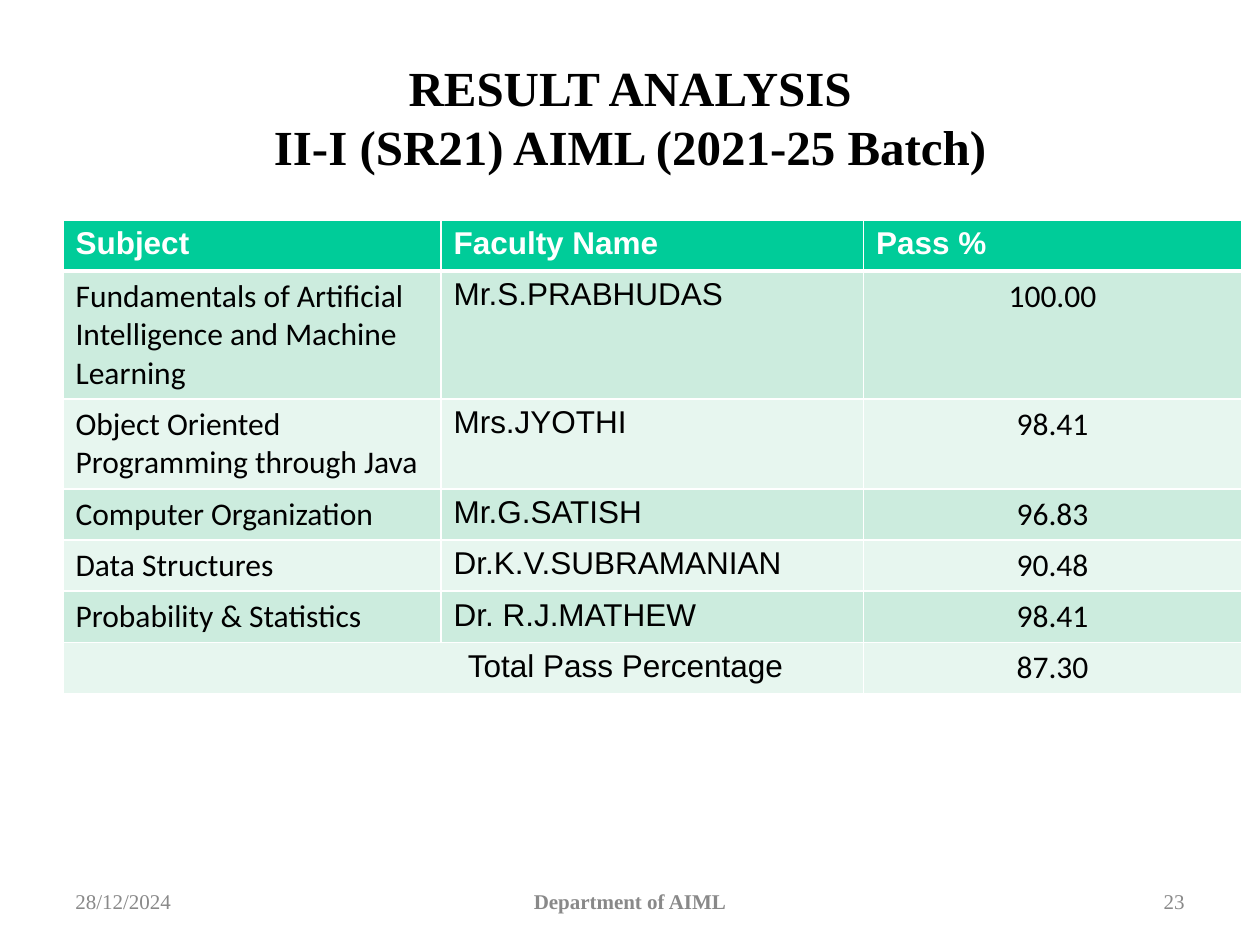
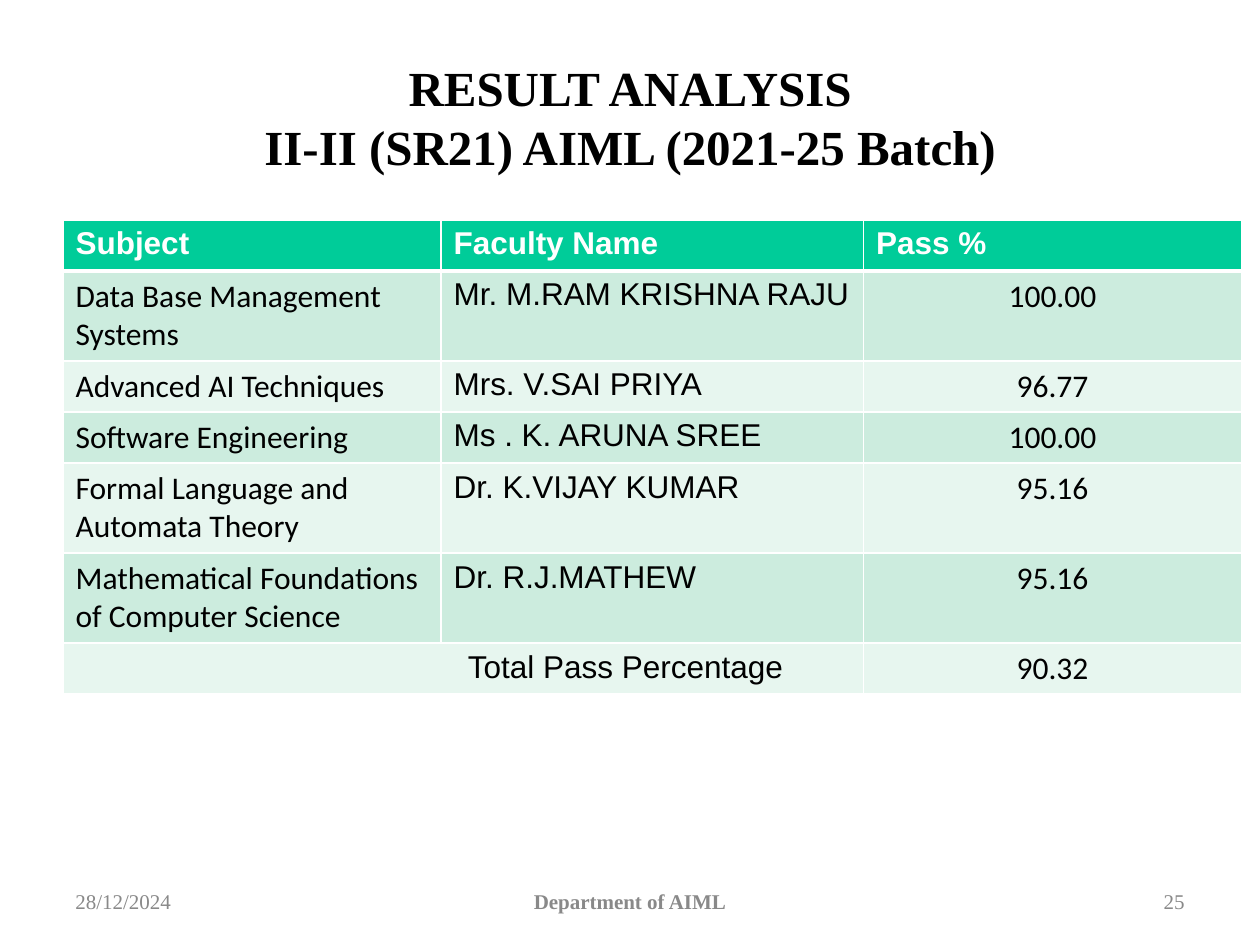
from lxml import etree
from pptx import Presentation, util as u
from pptx.dml.color import RGBColor
from pptx.enum import text
from pptx.oxml.ns import qn

# Shared look
PX = u.Inches(1) / 126
WHITE, BLACK, GREY = "FFFFFF", "000000", "898989"
HEAD, BANDS = "00CC99", ("CCECDE", "E7F6EF")
SERIF, SANS, BODY = "Times New Roman", "Arial", "Calibri"
LEFT, MID, RIGHT = text.PP_ALIGN.LEFT, text.PP_ALIGN.CENTER, text.PP_ALIGN.RIGHT
HEADS = ("Subject", "Faculty Name", "Pass %")
TOTAL = "Total Pass Percentage"
DATE, DEPT = "28/12/2024", "Department of AIML"

# Term, page number, total, and rows of subject, faculty, pass rate, text lines
SLIDES = [
    ("II-I (SR21) AIML (2021-25 Batch)", "23", "87.30", [
        ("Fundamentals of Artificial\nIntelligence and Machine\nLearning",
         "Mr.S.PRABHUDAS", "100.00", 3),
        ("Object Oriented Programming through Java", "Mrs.JYOTHI", "98.41", 2),
        ("Computer Organization", "Mr.G.SATISH", "96.83", 1),
        ("Data Structures", "Dr.K.V.SUBRAMANIAN", "90.48", 1),
        ("Probability & Statistics", "Dr. R.J.MATHEW", "98.41", 1),
    ]),
    ("II-II (SR21) AIML (2021-25 Batch)", "25", "90.32", [
        ("Data Base Management Systems", "Mr. M.RAM KRISHNA RAJU", "100.00", 2),
        ("Advanced AI Techniques", "Mrs. V.SAI PRIYA", "96.77", 1),
        ("Software Engineering", "Ms . K. ARUNA SREE", "100.00", 1),
        ("Formal Language and Automata Theory", "Dr. K.VIJAY KUMAR", "95.16", 2),
        ("Mathematical Foundations of Computer Science", "Dr. R.J.MATHEW",
         "95.16", 2),
    ]),
]


def px(n):
    return u.Emu(round(n * PX))


def rgb(hue):
    return RGBColor.from_string(hue)


def add_run(para, words, face, size, hue, bold=False):
    run = para.add_run()
    run.text = words
    font = run.font
    font.name, font.size, font.bold = face, u.Pt(size), bold
    font.color.rgb = rgb(hue)


def add_title(slide, term):
    title = slide.shapes.title
    title.left, title.top, title.width, title.height = map(px, (63, 38, 1134, 157))
    frame = title.text_frame
    frame.auto_size = text.MSO_AUTO_SIZE.NONE
    frame.vertical_anchor = text.MSO_ANCHOR.MIDDLE
    para = frame.paragraphs[0]
    para.alignment = MID
    add_run(para, "RESULT ANALYSIS", SERIF, 28, BLACK, True)
    para.add_line_break()
    # The break takes the size of the title text
    etree.SubElement(para._p[-1], qn("a:rPr"), sz="2800")
    add_run(para, term, SERIF, 28, BLACK, True)


def set_edges(cell, top=1, bottom=1):
    props = cell._tc.get_or_add_tcPr()
    widths = {"lnL": 1, "lnR": 1, "lnT": top, "lnB": bottom}
    for spot, (tag, width) in enumerate(widths.items()):
        line = etree.Element(qn("a:" + tag), w=str(u.Pt(width)))
        fill = etree.SubElement(line, qn("a:solidFill"))
        etree.SubElement(fill, qn("a:srgbClr"), val=WHITE)
        props.insert(spot, line)


def fill_cell(cell, words, face, hue, back, align=LEFT, bold=False):
    cell.fill.solid()
    cell.fill.fore_color.rgb = rgb(back)
    frame = cell.text_frame
    for i, line in enumerate(words.split("\n")):
        para = frame.add_paragraph() if i else frame.paragraphs[0]
        para.alignment = align
        add_run(para, line, face, 18, hue, bold)


def add_grid(slide, rows, total):
    # One line of text needs 51 px, each further line 38.5 px
    highs = [51] + [round(12.5 + 38.5 * row[3]) for row in rows] + [51]
    grid = slide.shapes.add_table(
        len(highs), 3, px(63), px(220), px(1134), px(sum(highs))).table
    for row, high in zip(grid.rows, highs):
        row.height = px(high)

    # Header
    for col, head in enumerate(HEADS):
        fill_cell(grid.cell(0, col), head, SANS, WHITE, HEAD, bold=True)
        set_edges(grid.cell(0, col), bottom=3)

    # Subjects and total, in alternating bands
    looks = ((BODY, LEFT), (SANS, LEFT), (BODY, MID))
    last = len(rows) + 1
    for r, row in enumerate(rows + [("", "", total)], 1):
        back = BANDS[(r - 1) % 2]
        for col, (face, align) in enumerate(looks):
            cell = grid.cell(r, col)
            if r < last or col == 2:
                fill_cell(cell, row[col], face, BLACK, back, align)
            set_edges(cell, top=3 if r == 1 else 1)
    label = grid.cell(last, 0)
    label.merge(grid.cell(last, 1))
    label.margin_left = px(405)
    fill_cell(label, TOTAL, SANS, BLACK, BANDS[(last - 1) % 2])


def add_foot(slide, words, left, width, align, bold=False):
    box = slide.shapes.add_textbox(px(left), px(876), px(width), px(50))
    frame = box.text_frame
    frame.word_wrap = True
    frame.vertical_anchor = text.MSO_ANCHOR.MIDDLE
    para = frame.paragraphs[0]
    para.alignment = align
    add_run(para, words, SERIF, 12, GREY, bold)


def main():
    deck = Presentation()
    deck.slide_width, deck.slide_height = px(1260), px(945)
    for term, page, total, rows in SLIDES:
        slide = deck.slides.add_slide(deck.slide_layouts[5])
        add_title(slide, term)
        add_grid(slide, rows, total)
        add_foot(slide, DATE, 63, 294, LEFT)
        add_foot(slide, DEPT, 431, 398, MID, True)
        add_foot(slide, page, 903, 294, RIGHT)
    deck.save("out.pptx")


if __name__ == "__main__":
    main()
